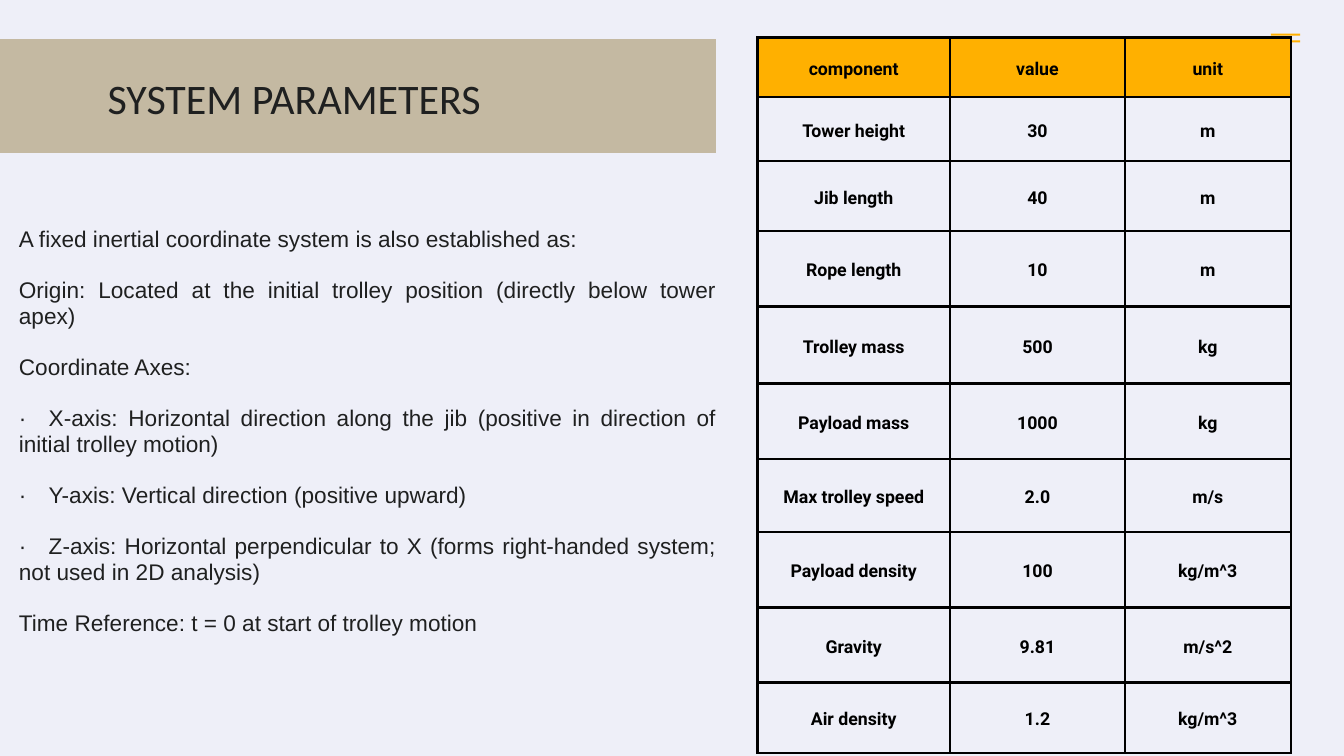
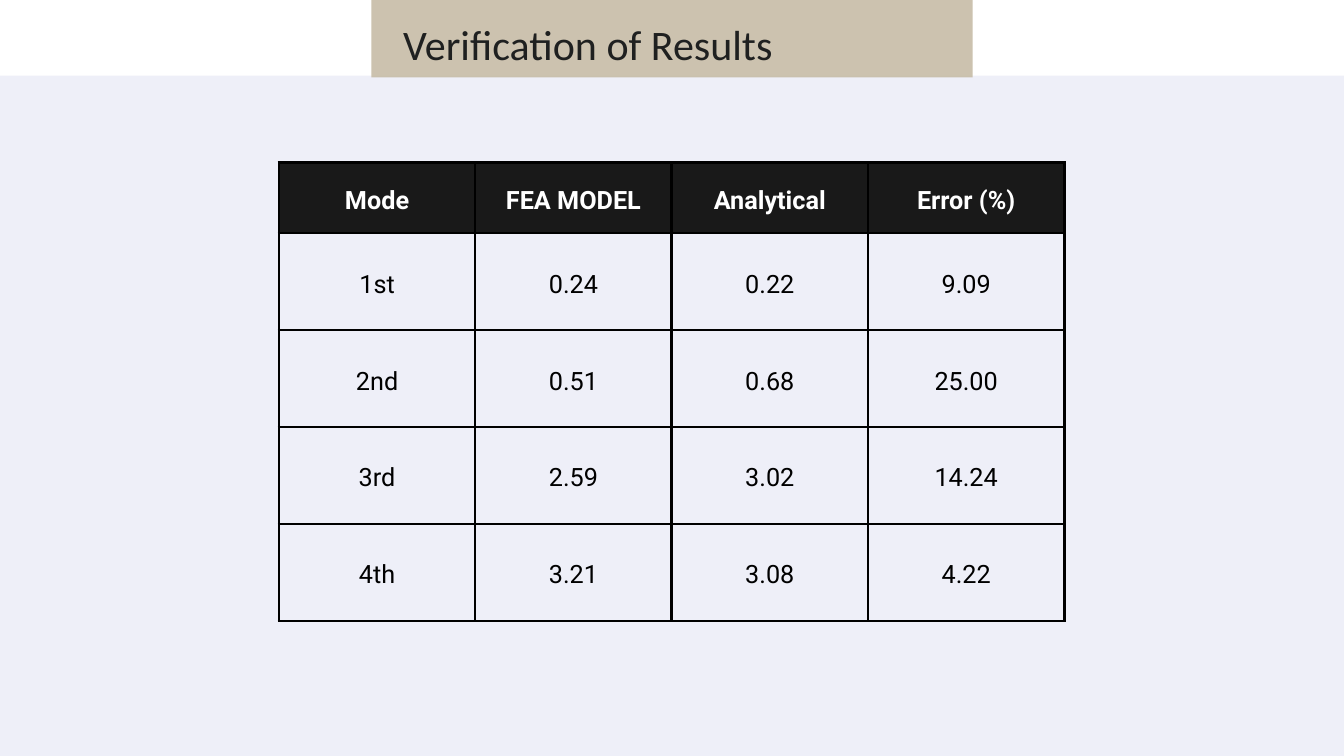
import pptx
import pptx.util
import pptx.dml.color
import pptx.enum.shapes
import pptx.enum.text
import pptx.oxml
import pptx.oxml.ns

Pt = pptx.util.Pt
Color = pptx.dml.color.RGBColor
Align = pptx.enum.text.PP_ALIGN
Anchor = pptx.enum.text.MSO_ANCHOR
Kind = pptx.enum.shapes.MSO_SHAPE

WIDE, HIGH = 1440, 810
PALE = Color(0xEE, 0xEF, 0xF8)
SAND = Color(0xC4, 0xB9, 0xA2)
AMBER = Color(0xFF, 0xB0, 0x00)
INK = Color(0x1F, 0x20, 0x20)
COAL = Color(0x19, 0x19, 0x19)
BLACK = Color(0, 0, 0)
WHITE = Color(0xFF, 0xFF, 0xFF)

# Each paragraph: text, whether it is an axis item
NOTES = [
    ("A fixed inertial coordinate system is also established as:", False),
    ("Origin: Located at the initial trolley position (directly below tower apex)", False),
    ("Coordinate Axes:", False),
    ("X-axis: Horizontal direction along the jib (positive in direction of initial trolley motion)", True),
    ("Y-axis: Vertical direction (positive upward)", True),
    ("Z-axis: Horizontal perpendicular to X (forms right-handed system; not used in 2D analysis)", True),
    ("Time Reference: t = 0 at start of trolley motion", False),
]

PARAMS = [
    ("component", "value", "unit"),
    ("Tower height", "30", "m"),
    ("Jib length", "40", "m"),
    ("Rope length", "10", "m"),
    ("Trolley mass", "500", "kg"),
    ("Payload mass", "1000", "kg"),
    ("Max trolley speed", "2.0", "m/s"),
    ("Payload density", "100", "kg/m^3"),
    ("Gravity", "9.81", "m/s^2"),
    ("Air density", "1.2", "kg/m^3"),
]
PARAM_COLS = [206.6, 187.2, 177.8]
PARAM_ROWS = [63.4, 69.1, 74.9, 80.6, 82.8, 80.6, 78.5, 80.6, 80.6, 75.6]

MODES = [
    ("Mode", "FEA MODEL", "Analytical", "Error (%)"),
    ("1st", "0.24", "0.22", "9.09"),
    ("2nd", "0.51", "0.68", "25.00"),
    ("3rd", "2.59", "3.02", "14.24"),
    ("4th", "3.21", "3.08", "4.22"),
]
MODE_COLS = [210.4] * 4
MODE_ROWS = [75.6] + [103.9] * 4


def write(para, text, font, size, color, line, bold=False):
    """Add one run to a paragraph with a fixed line height."""
    para.line_spacing = Pt(line)
    run = para.add_run()
    run.text = text
    run.font.name = font
    run.font.size = Pt(size)
    run.font.bold = bold
    run.font.color.rgb = color


def add_page(deck):
    page = deck.slides.add_slide(deck.slide_layouts[6])
    fill = page.background.fill
    fill.solid()
    fill.fore_color.rgb = PALE
    return page


def add_rect(page, box, color, alpha=None):
    rect = page.shapes.add_shape(Kind.RECTANGLE, *map(Pt, box))
    rect.shadow.inherit = False
    rect.line.fill.background()
    rect.fill.solid()
    rect.fill.fore_color.rgb = color
    if alpha:
        tone = rect.fill._xPr.find(".//" + pptx.oxml.ns.qn("a:srgbClr"))
        tone.append(pptx.oxml.parse_xml(
            f'<a:alpha {pptx.oxml.ns.nsdecls("a")} val="{alpha * 1000}"/>'))


def add_box(page, box):
    frame = page.shapes.add_textbox(*map(Pt, box)).text_frame
    frame.word_wrap = True
    frame.margin_left = frame.margin_right = 0
    frame.margin_top = frame.margin_bottom = 0
    return frame


def add_title(page, text, box):
    write(add_box(page, box).paragraphs[0], text, "Calibri", 45, INK, 63)


def add_notes(page, box):
    frame = add_box(page, box)
    for num, (text, axis) in enumerate(NOTES):
        para = frame.add_paragraph() if num else frame.paragraphs[0]
        para.alignment = Align.JUSTIFY
        if num:
            para.space_before = Pt(27.4)
        if axis:
            text = "·\t" + text
            para._p.get_or_add_pPr().append(pptx.oxml.parse_xml(
                f'<a:tabLst {pptx.oxml.ns.nsdecls("a")}>'
                f'<a:tab pos="{Pt(32)}" algn="l"/></a:tabLst>'))
        write(para, text, "Arial", 24.2, INK, 27.4)


def frame_cell(cell):
    """Draw a black line on all four sides of a cell."""
    props = cell._tc.get_or_add_tcPr()
    for side in "LRTB":
        props.append(pptx.oxml.parse_xml(
            f'<a:ln{side} {pptx.oxml.ns.nsdecls("a")} w="{Pt(3)}">'
            f'<a:solidFill><a:srgbClr val="{BLACK}"/></a:solidFill></a:ln{side}>'))


def add_grid(page, data, left, top, cols, rows, size, line, head, tint, bold):
    """Add a table; head and tint colour the first row, bold sets the body."""
    box = (left, top, sum(cols), sum(rows))
    table = page.shapes.add_table(len(rows), len(cols), *map(Pt, box)).table
    table.first_row = table.horz_banding = False
    for col, width in zip(table.columns, cols):
        col.width = Pt(width)
    for num, (row, height) in enumerate(zip(table.rows, rows)):
        row.height = Pt(height)
        for cell, text in zip(row.cells, data[num]):
            frame_cell(cell)
            if num == 0:
                cell.fill.solid()
                cell.fill.fore_color.rgb = head
            else:
                cell.fill.background()
            cell.vertical_anchor = Anchor.MIDDLE
            cell.margin_left = cell.margin_right = Pt(15)
            cell.margin_top = cell.margin_bottom = Pt(15)
            para = cell.text_frame.paragraphs[0]
            para.alignment = Align.CENTER
            color = BLACK if num else tint
            write(para, text, "Roboto", size, color, line, bold or num == 0)


def add_params(deck):
    page = add_page(deck)
    for top in (36, 43.2):
        add_rect(page, (1361.6, top, 31.4, 2.2), AMBER)
    add_grid(page, PARAMS, 811.4, 40.3, PARAM_COLS, PARAM_ROWS,
             19, 26.6, AMBER, BLACK, True)
    add_notes(page, (20.2, 242.7, 747, 486))
    add_rect(page, (0, 42, 767, 121.7), SAND)
    add_title(page, "SYSTEM PARAMETERS", (115.2, 69, 791, 60.5))


def add_modes(deck):
    page = add_page(deck)
    add_rect(page, (0, 0, WIDE, 81), WHITE)
    add_rect(page, (398, 0, 644, 82.8), SAND, 86)
    add_title(page, "Verification of Results", (432, 10.8, 610, 60.5))
    add_grid(page, MODES, 298.8, 174.2, MODE_COLS, MODE_ROWS,
             27, 37.8, COAL, WHITE, False)


def main():
    deck = pptx.Presentation()
    deck.slide_width, deck.slide_height = Pt(WIDE), Pt(HIGH)
    add_params(deck)
    add_modes(deck)
    deck.save("out.pptx")


if __name__ == "__main__":
    main()
